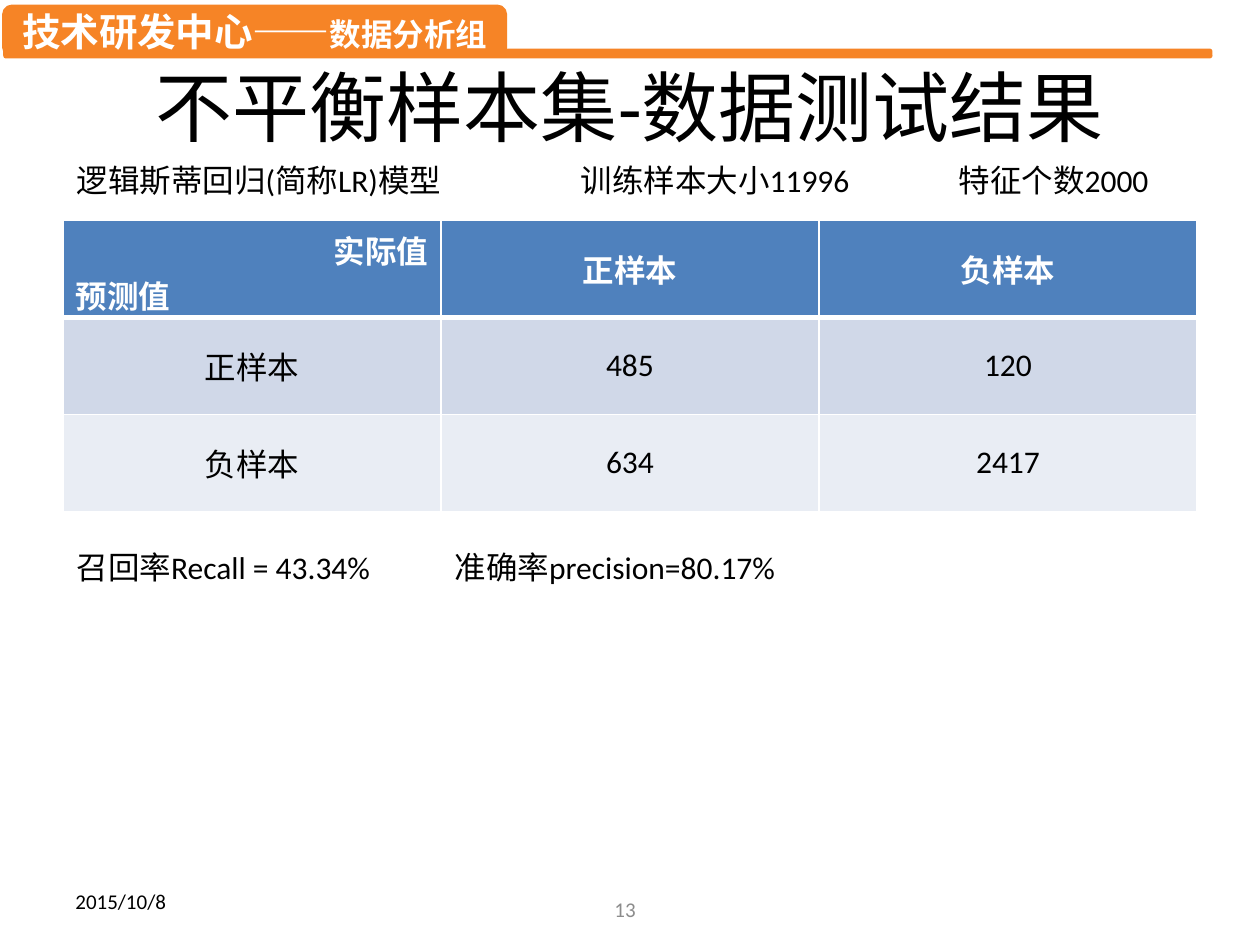
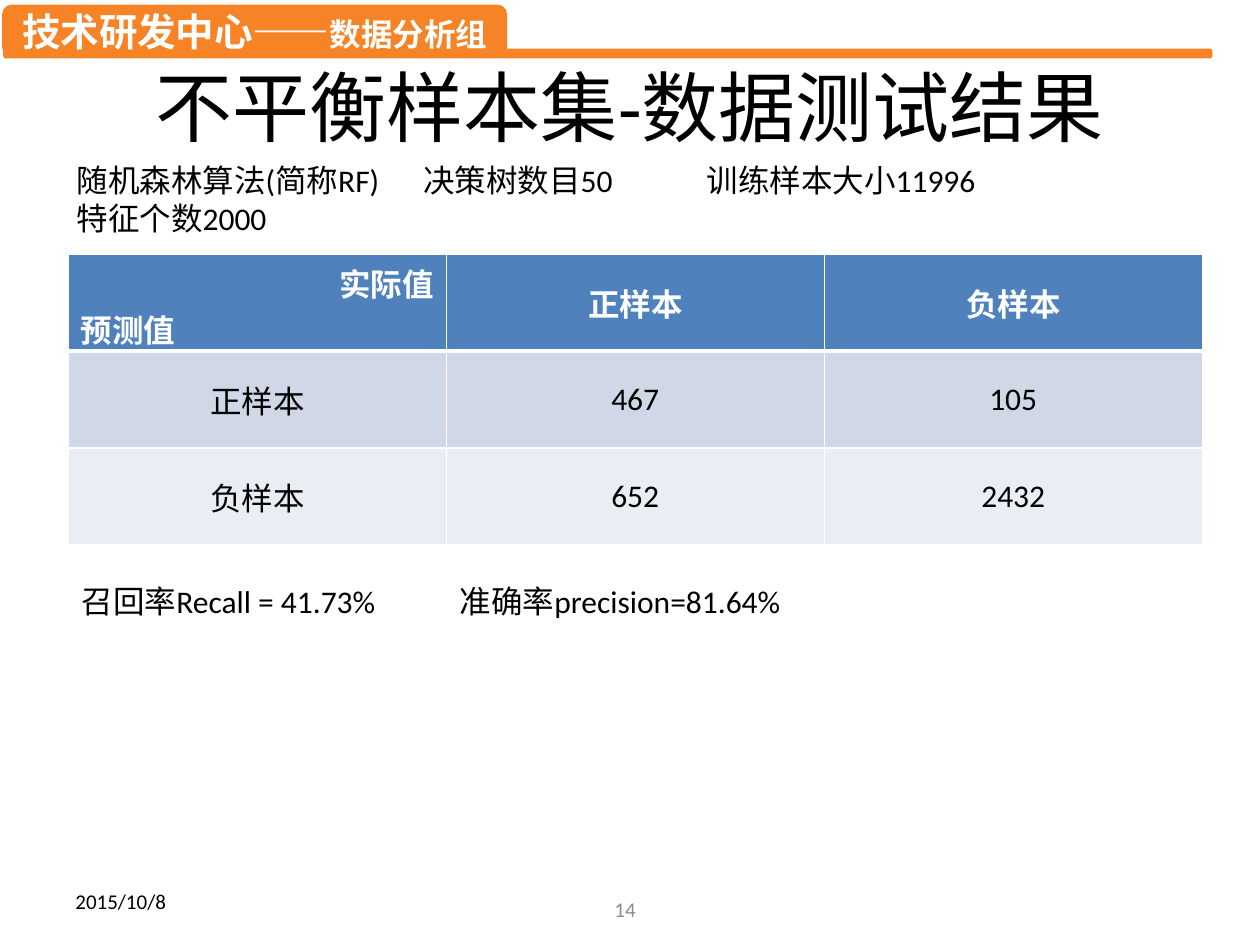
from lxml import etree
from pptx import Presentation
from pptx.dml.color import RGBColor
from pptx.enum import shapes, text
from pptx.oxml.ns import qn
from pptx.util import Pt

ORANGE = RGBColor(0xF6, 0x84, 0x26)
WHITE = RGBColor(0xFF, 0xFF, 0xFF)
BLACK = RGBColor(0, 0, 0)
GREY = RGBColor(0x8C, 0x8C, 0x8C)
HEADER_BLUE = RGBColor(0x4F, 0x81, 0xBD)
ROW_FILLS = [RGBColor(0xD0, 0xD8, 0xE8), RGBColor(0xE9, 0xED, 0xF4)]
LATIN, CJK = "Calibri", "Noto Sans CJK SC"
LEFT, CENTER, RIGHT = text.PP_ALIGN.LEFT, text.PP_ALIGN.CENTER, text.PP_ALIGN.RIGHT
MIDDLE = text.MSO_ANCHOR.MIDDLE
COL_W, ROW_H = 216, 55.44

RESULTS = [
    dict(number="13", box=(36, 126),
         setup=["逻辑斯蒂回归(简称LR)模型\t训练样本大小11996\t特征个数2000"],
         setup_tabs=(288, 504), counts=[("485", "120"), ("634", "2417")],
         scores="召回率Recall = 43.34%\t准确率precision=80.17%"),
    dict(number="14", box=(39, 145.2),
         setup=["随机森林算法(简称RF)\t决策树数目50\t训练样本大小11996", "特征个数2000"],
         setup_tabs=(198, 360), counts=[("467", "105"), ("652", "2432")],
         scores="召回率Recall = 41.73%\t准确率precision=81.64%"),
]


def style(p, size, color=BLACK, bold=False, align=LEFT, name=LATIN, tabs=()):
    """Format a paragraph, with optional tab stops in points."""
    p.alignment = align
    p.font.size, p.font.bold, p.font.name = Pt(size), bold, name
    p.font.color.rgb = color
    pPr = p._p.get_or_add_pPr()
    etree.SubElement(pPr.find(qn("a:defRPr")), qn("a:ea"), typeface=CJK)
    if tabs:
        stops = etree.Element(qn("a:tabLst"))
        for pos in tabs:
            etree.SubElement(stops, qn("a:tab"), pos=str(Pt(pos)), algn="l")
        pPr.insert(0, stops)


def add_text(s, box, lines, size=18, anchor=text.MSO_ANCHOR.TOP, **fmt):
    tf = s.shapes.add_textbox(*map(Pt, box)).text_frame
    tf.word_wrap = True
    tf.vertical_anchor = anchor
    tf.text = "\n".join(lines)
    for p in tf.paragraphs:
        style(p, size, **fmt)


def add_band(s, box):
    sp = s.shapes.add_shape(shapes.MSO_SHAPE.ROUNDED_RECTANGLE, *map(Pt, box))
    sp.shadow.inherit = False
    sp.fill.solid()
    sp.fill.fore_color.rgb = sp.line.color.rgb = ORANGE
    sp.line.width = Pt(2)
    return sp


def add_banner(s, layout):
    """Draw the department banner and move it to the shared layout."""
    rule = add_band(s, (2.9, 28.8, 689, 3.6))
    label = add_band(s, (2.2, 3.6, 286.6, 28.1))
    tf = label.text_frame
    tf.vertical_anchor = MIDDLE
    tf.margin_top = tf.margin_bottom = 0
    p = tf.paragraphs[0]
    for words, size in (("技术研发中心——", 22), ("数据分析组", 18)):
        r = p.add_run()
        r.text, r.font.size = words, Pt(size)
    style(p, 22, WHITE, True, CENTER, CJK)
    for i, sp in enumerate((rule, label), 101):
        sp.element.nvSpPr.cNvPr.set("id", str(i))
        layout.shapes.element.append(sp.element)


def add_borders(cell, bottom):
    tcPr = cell._tc.get_or_add_tcPr()
    widths = dict(lnL=1, lnR=1, lnT=1, lnB=bottom)
    for i, (side, width) in enumerate(widths.items()):
        ln = etree.Element(qn("a:" + side), w=str(Pt(width)))
        fill = etree.SubElement(ln, qn("a:solidFill"))
        etree.SubElement(fill, qn("a:srgbClr"), val=str(WHITE))
        tcPr.insert(i, ln)


def add_confusion_table(s, box, counts):
    rows = [("实际值\n预测值", "正样本", "负样本"),
            ("正样本", *counts[0]), ("负样本", *counts[1])]
    x, y = box
    table = s.shapes.add_table(3, 3, Pt(x), Pt(y), Pt(3 * COL_W), Pt(3 * ROW_H)).table
    for i, row in enumerate(rows):
        table.rows[i].height = Pt(ROW_H)
        header = i == 0
        for j, value in enumerate(row):
            cell = table.cell(i, j)
            cell.text = value
            cell.vertical_anchor = MIDDLE
            cell.fill.solid()
            cell.fill.fore_color.rgb = HEADER_BLUE if header else ROW_FILLS[i - 1]
            add_borders(cell, 3 if header else 1)
            # The corner cell names the columns at right, the rows at left
            aligns = (RIGHT, LEFT) if header and j == 0 else (CENTER,)
            for p, align in zip(cell.text_frame.paragraphs, aligns):
                style(p, 18, WHITE if header else BLACK, header, align)


def add_footer(s, number):
    add_text(s, (36, 500.4, 168, 28.8), ["2015/10/8"], 12, MIDDLE)
    add_text(s, (202.3, 505.4, 168, 28.8), [number], 12, MIDDLE, color=GREY, align=RIGHT)


def add_result_slide(prs, layout, number, box, setup, setup_tabs, counts, scores):
    s = prs.slides.add_slide(layout)
    title = s.shapes.title
    title.left, title.top, title.width, title.height = map(Pt, (36, 31.7, 648, 56.9))
    title.text_frame.text = "不平衡样本集-数据测试结果"
    style(title.text_frame.paragraphs[0], 44, align=CENTER)

    # Model settings, table, then scores below the table
    x, y = box
    add_text(s, (36.7, 88.6, 646.6, 29), setup, tabs=setup_tabs)
    add_confusion_table(s, box, counts)
    add_text(s, (x + 0.7, y + 3 * ROW_H + 17.3, 646.6, 29), [scores], tabs=(216,))
    add_footer(s, number)
    return s


def main():
    prs = Presentation()
    prs.slide_width, prs.slide_height = Pt(720), Pt(540)
    layout = prs.slide_layouts[5]
    slides = [add_result_slide(prs, layout, **result) for result in RESULTS]
    add_banner(slides[0], layout)
    prs.save("out.pptx")


if __name__ == "__main__":
    main()
